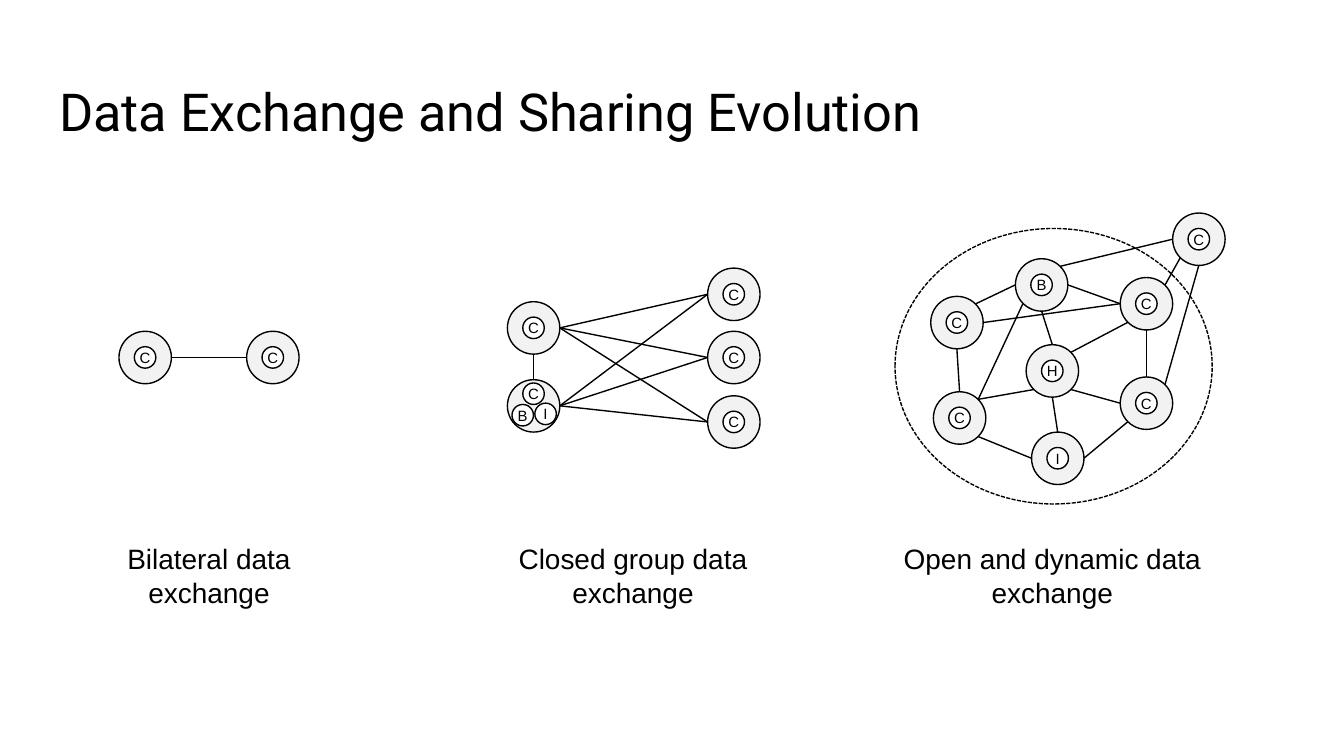
from dataclasses import dataclass
from lxml import etree
from pptx import Presentation
from pptx.dml.color import RGBColor
from pptx.enum.dml import MSO_LINE
from pptx.enum.shapes import MSO_CONNECTOR, MSO_SHAPE
from pptx.enum.text import MSO_ANCHOR, MSO_AUTO_SIZE, PP_ALIGN
from pptx.oxml.ns import qn
from pptx.util import Inches, Pt

OVAL = MSO_SHAPE.OVAL
STRAIGHT = MSO_CONNECTOR.STRAIGHT
DASH = MSO_LINE.SQUARE_DOT
TOP, MIDDLE = MSO_ANCHOR.TOP, MSO_ANCHOR.MIDDLE
LEFT, CENTER = PP_ALIGN.LEFT, PP_ALIGN.CENTER
NO_FIT, GROW = MSO_AUTO_SIZE.NONE, MSO_AUTO_SIZE.SHAPE_TO_FIT_TEXT


@dataclass(frozen=True)
class Theme:
    """Colours, fonts and type sizes of the slide."""
    ink: RGBColor = RGBColor(0, 0, 0)
    node: RGBColor = RGBColor(0xF2, 0xF2, 0xF2)
    paper: RGBColor = RGBColor(0xFF, 0xFF, 0xFF)
    title_font: str = "Roboto"
    body_font: str = "Arial"
    title_size: int = 28
    caption_size: int = 15
    role_size: int = 8
    line: float = 0.75


THEME = Theme()
SLIDE_W = 10
SLIDE_H = SLIDE_W * 9 / 16
NODE_D, ROLE_D = 0.39, 0.16
CAPTION_H = 0.61
PANEL_TOP, PANEL_H = 1.58, 3.01

# Unit offsets of the eight connection points on a circle
DIAG = 0.71
SITES = {"N": (0, -1), "S": (0, 1), "W": (-1, 0), "E": (1, 0),
         "NW": (-DIAG, -DIAG), "NE": (DIAG, -DIAG),
         "SW": (-DIAG, DIAG), "SE": (DIAG, DIAG)}

# Each node: centre within its panel, then its roles.
# Each link: node and site, node and site.
PANELS = [
    {"caption": "Bilateral data exchange", "left": 0.69, "width": 1.73,
     "nodes": {"left": (0.39, 1.08, "C"), "right": (1.34, 1.08, "C")},
     "links": ["left E right W"]},
    {"caption": "Closed group data exchange", "left": 3.53, "width": 2.36,
     "nodes": {"single": (0.44, 0.86, "C"), "multi": (0.44, 1.44, "CBI"),
               "r1": (1.93, 0.61, "C"), "r2": (1.93, 1.08, "C"),
               "r3": (1.93, 1.56, "C")},
     "links": [f"{a} E {b} W" for a in ("single", "multi")
               for b in ("r1", "r2", "r3")] + ["single S multi N"]},
    {"caption": "Open and dynamic data exchange", "left": 6.5, "width": 2.66,
     "boundary": (0.16, 0.12, 2.36, 2.05),
     "nodes": {"broker": (1.25, 0.54, "B"), "hub": (1.33, 1.18, "H"),
               "inter": (1.37, 1.83, "I"), "nw": (0.62, 0.82, "C"),
               "sw": (0.64, 1.53, "C"), "ne": (2.03, 0.68, "C"),
               "se": (2.03, 1.42, "C"), "outer": (2.42, 0.2, "C")},
     "links": ["nw NE broker W", "broker S hub N", "hub NE ne SW",
               "outer W broker NE", "outer SW ne NE", "ne S se N",
               "hub SE se W", "hub SW sw NE", "nw S sw N",
               "inter W sw SE", "se SW inter E", "hub S inter N",
               "broker SW sw NE", "broker E ne W", "ne W nw E",
               "outer S se NE"]},
]
ROLE_OFFSETS = {1: [(0, 0)], 3: [(0, -0.09), (-0.08, 0.07), (0.09, 0.06)]}


def set_text(sp, text, font, size, align, **frame):
    """Write one paragraph and apply the text frame settings."""
    tf = sp.text_frame
    for name, value in frame.items():
        setattr(tf, name, value)
    p = tf.paragraphs[0]
    p.alignment = align
    r = p.add_run()
    r.text = text
    for name, value in {"name": font, "size": Pt(size)}.items():
        setattr(r.font, name, value)
    r.font.color.rgb = THEME.ink


def add_oval(shapes, x, y, w, h, fill):
    """Draw an outlined ellipse in the given box."""
    sp = shapes.add_shape(OVAL, *map(Inches, (x, y, w, h)))
    sp.shadow.inherit = False
    sp.fill.solid()
    sp.fill.fore_color.rgb = fill
    sp.line.color.rgb = THEME.ink
    sp.line.width = Pt(THEME.line)
    return sp


def add_circle(shapes, cx, cy, d, fill):
    """Draw a circle around a centre."""
    return add_oval(shapes, cx - d / 2, cy - d / 2, d, d, fill)


def add_node(shapes, cx, cy, roles):
    """Draw a participant with a small lettered circle for each role."""
    add_circle(shapes, cx, cy, NODE_D, THEME.node)
    for role, (dx, dy) in zip(roles, ROLE_OFFSETS[len(roles)]):
        sp = add_circle(shapes, cx + dx, cy + dy, ROLE_D, THEME.paper)
        set_text(sp, role, THEME.body_font, THEME.role_size, CENTER,
                 margin_left=0, margin_right=0, margin_top=0,
                 margin_bottom=0, word_wrap=False, vertical_anchor=MIDDLE)


def add_link(shapes, start, end):
    """Draw a straight line between two points."""
    cxn = shapes.add_connector(STRAIGHT, *map(Inches, (*start, *end)))
    cxn.line.color.rgb = THEME.ink
    cxn.line.width = Pt(THEME.line)
    etree.SubElement(cxn._element.spPr, qn("a:effectLst"))


def add_panel(s, panel, top, height):
    """Draw one network diagram with its caption at the foot of the box."""
    left, width = panel["left"], panel["width"]
    shapes = s.shapes.add_group_shape().shapes
    if "boundary" in panel:
        x, y, w, h = panel["boundary"]
        sp = add_oval(shapes, left + x, top + y, w, h, THEME.paper)
        sp.line.dash_style = DASH
    nodes = {name: (left + x, top + y, roles)
             for name, (x, y, roles) in panel["nodes"].items()}
    for node in nodes.values():
        add_node(shapes, *node)

    def point(name, site):
        """Find a connection point on a node's edge."""
        (cx, cy, _), (dx, dy) = nodes[name], SITES[site]
        return cx + dx * NODE_D / 2, cy + dy * NODE_D / 2

    for link in panel["links"]:
        a, a_site, b, b_site = link.split()
        add_link(shapes, point(a, a_site), point(b, b_site))

    box = (left, top + height - CAPTION_H, width, CAPTION_H)
    tb = s.shapes.add_textbox(*map(Inches, box))
    set_text(tb, panel["caption"], THEME.body_font, THEME.caption_size,
             CENTER, word_wrap=True, auto_size=GROW)


def add_title(s, text, left, top, width, height):
    """Place and format the title placeholder."""
    sp = s.shapes.title
    box = {"left": left, "top": top, "width": width, "height": height}
    for name, value in box.items():
        setattr(sp, name, Inches(value))
    margins = {f"margin_{side}": Inches(0.1)
               for side in ("left", "right", "top", "bottom")}
    set_text(sp, text, THEME.title_font, THEME.title_size, LEFT,
             vertical_anchor=TOP, auto_size=NO_FIT, word_wrap=True, **margins)


def build():
    """Build and save the slide."""
    prs = Presentation()
    prs.slide_width, prs.slide_height = Inches(SLIDE_W), Inches(SLIDE_H)
    s = prs.slides.add_slide(prs.slide_layouts.get_by_name("Title Only"))
    add_title(s, "Data Exchange and Sharing Evolution", 0.34, 0.49, 9.32, 0.63)
    for panel in PANELS:
        add_panel(s, panel, PANEL_TOP, PANEL_H)
    prs.save("out.pptx")


build()
